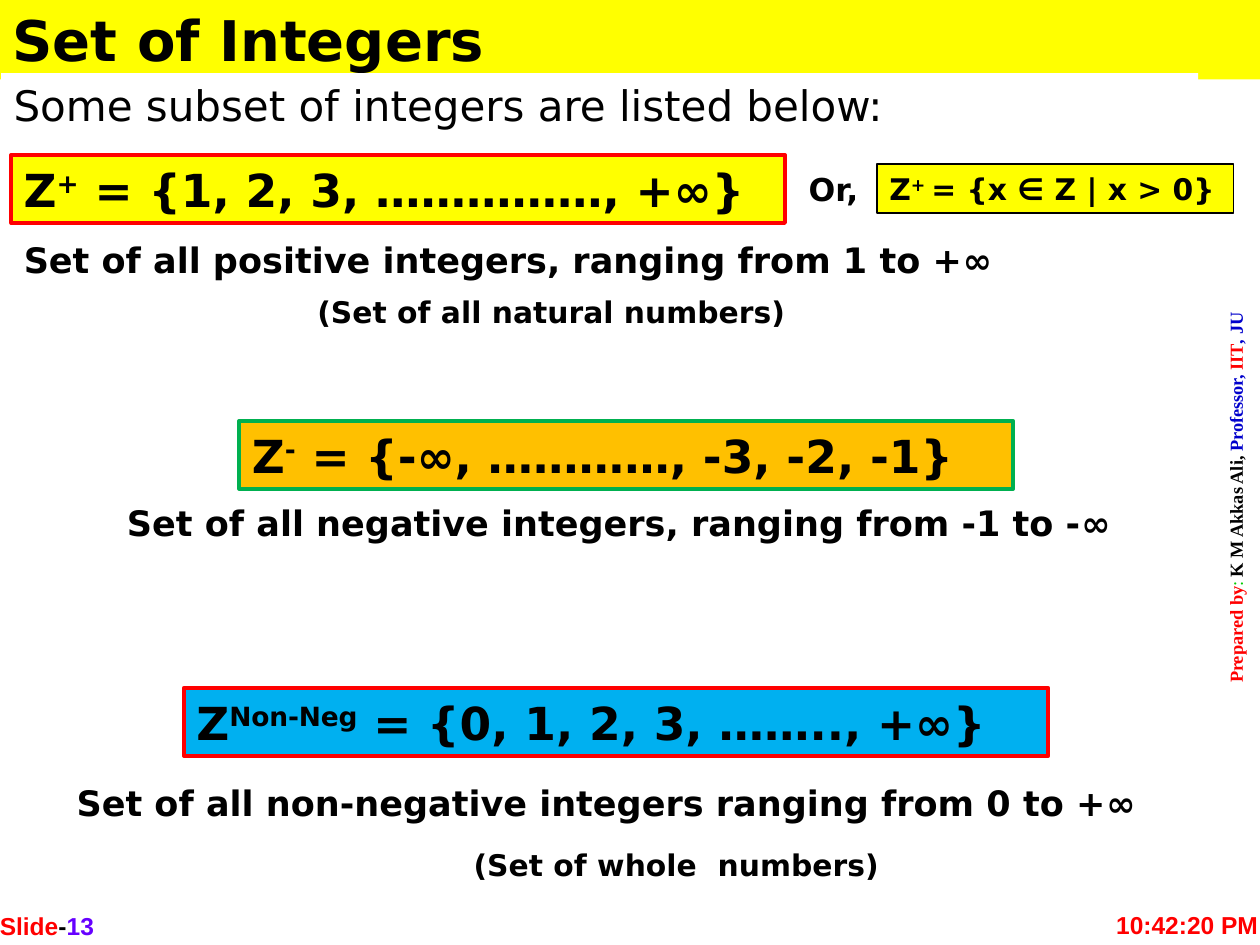
from collections import namedtuple
from dataclasses import dataclass

from pptx import Presentation
from pptx.dml.color import RGBColor
from pptx.enum import shapes, text
from pptx.util import Inches, Pt

Box = namedtuple("Box", "left top width height")
Part = namedtuple("Part", "words color bold italic raised", defaults=(None,) * 4)


@dataclass(frozen=True)
class Theme:
    """Colours, fonts and type sizes of the slide."""
    body: str = "DejaVu Sans"
    footer: str = "Arial"
    credit: str = "Times New Roman"
    black: str = "000000"
    white: str = "FFFFFF"
    yellow: str = "FFFF00"
    amber: str = "FFC000"
    sky: str = "00B0F0"
    red: str = "FF0000"
    green: str = "00B050"
    lime: str = "00CC00"
    blue: str = "0000CC"
    violet: str = "6600FF"
    title_size: float = 32
    formula_size: float = 26
    intro_size: float = 24
    caption_size: float = 20
    or_size: float = 18
    note_size: float = 17
    footer_size: float = 14
    credit_size: float = 10.5


THEME = Theme()


def rgb(color):
    """Turn a hex string into a colour."""
    return RGBColor.from_string(color)


def within(box, left, top, width, height):
    """Give a box placed relative to another one."""
    return Box(box.left + left, box.top + top, width, height)


def write(shape, parts, size, font=THEME.body, bold=True, color=THEME.black,
          align=text.PP_ALIGN.LEFT, anchor=text.MSO_ANCHOR.MIDDLE, wrap=True):
    """Fill a shape with one paragraph made of parts."""
    frame = shape.text_frame
    frame.word_wrap = wrap
    frame.auto_size = text.MSO_AUTO_SIZE.NONE
    frame.vertical_anchor = anchor
    paragraph = frame.paragraphs[0]
    paragraph.alignment = align
    paragraph.font.name = font
    paragraph.font.size = Pt(size)
    paragraph.font.bold = bold
    paragraph.font.color.rgb = rgb(color)
    for part in parts:
        run = paragraph.add_run()
        run.text = part.words
        if part.color:
            run.font.color.rgb = rgb(part.color)
        if part.bold is not None:
            run.font.bold = part.bold
        if part.italic:
            run.font.italic = True
        if part.raised:
            run._r.get_or_add_rPr().set("baseline", "30000")


def add_label(slide, box, parts, size, **style):
    """Add a plain text box."""
    label = slide.shapes.add_textbox(*map(Inches, box))
    write(label, parts, size, **style)
    return label


def add_panel(slide, box, parts, size, fill, line=None, weight=2.25, **style):
    """Add a filled rectangle with text and an optional border."""
    panel = slide.shapes.add_shape(shapes.MSO_SHAPE.RECTANGLE, *map(Inches, box))
    panel.shadow.inherit = False
    panel.fill.solid()
    panel.fill.fore_color.rgb = rgb(fill)
    if line:
        panel.line.color.rgb = rgb(line)
        panel.line.width = Pt(weight)
    else:
        panel.line.fill.background()
    write(panel, parts, size, **style)


def add_header(slide, box):
    """Place the title band and the introduction under it."""
    title = slide.shapes.title
    title.left, title.top, title.width, title.height = map(Inches, box)
    title.fill.solid()
    title.fill.fore_color.rgb = rgb(THEME.yellow)
    write(title, [Part("Set of Integers")], THEME.title_size)
    add_panel(slide, within(box, 0.01, 0.59, 9.5, 0.5),
              [Part("Some subset of integers are listed below:")],
              THEME.intro_size, THEME.white, bold=False)


def add_subset(slide, box, exponent, members, fill, line, caption, caption_box):
    """Place a set formula and its caption."""
    formula = [Part("Z"), Part(exponent, raised=True), Part(f" = {members}")]
    add_panel(slide, box, formula, THEME.formula_size, fill, line)
    add_label(slide, within(box, *caption_box),
              [Part(caption), Part("∞", italic=True)], THEME.caption_size)


def add_note(slide, box, words):
    """Place a bracketed remark under a caption."""
    add_label(slide, box, [Part(words)], THEME.note_size)


def add_alternative(slide, box):
    """Place the set-builder form of the positive integers."""
    add_label(slide, within(box, 0, 0, 0.72, 0.4), [Part("Or,")],
              THEME.or_size, wrap=False)
    builder = [Part("Z"), Part("+ ", raised=True), Part("= {x ∈ Z | x > 0}")]
    add_panel(slide, within(box, 0.64, 0, 2.83, 0.39), builder,
              THEME.note_size, THEME.yellow, THEME.black, 1, wrap=False)


def add_credit(slide, box):
    """Place the author line running up the right edge."""
    parts = [
        Part("Prepared by", THEME.red),
        Part(": ", THEME.lime, False),
        Part("K M Akkas Ali, "),
        Part("Professor, ", THEME.blue),
        Part("IIT", THEME.red),
        Part(", JU", THEME.blue),
    ]
    credit = add_label(slide, box, parts, THEME.credit_size, font=THEME.credit,
                       align=text.PP_ALIGN.CENTER, anchor=text.MSO_ANCHOR.TOP)
    credit.text_frame._txBody.bodyPr.set("vert", "vert270")


def add_footer(slide, box):
    """Place the slide number and the clock time."""
    style = dict(font=THEME.footer, anchor=text.MSO_ANCHOR.TOP)
    number = [Part("Slide", THEME.red), Part("-"), Part("13", THEME.violet)]
    add_label(slide, within(box, 0, 0.01, 2.33, box.height), number,
              THEME.footer_size, **style)
    add_label(slide, within(box, 8.86, 0, 1.49, box.height),
              [Part("10:42:20 PM")], THEME.footer_size, color=THEME.red, **style)


def main():
    """Build and save the slide."""
    deck = Presentation()
    deck.slide_width, deck.slide_height = Inches(10), Inches(7.5)
    slide = deck.slides.add_slide(deck.slide_layouts[5])
    add_header(slide, Box(0, -0.01, 10, 0.64))
    add_subset(slide, Box(0.09, 1.23, 6.14, 0.54), "+", "{1, 2, 3, ……………, +∞}",
               THEME.yellow, THEME.red,
               "Set of all positive integers, ranging from 1 to +",
               (0, 0.61, 7.95, 0.44))
    add_alternative(slide, Box(6.32, 1.3, 3.47, 0.4))
    add_note(slide, Box(2.42, 2.28, 4.13, 0.39), "(Set of all natural numbers)")
    add_subset(slide, Box(1.9, 3.34, 6.14, 0.54), "-", "{-∞, …………, -3, -2, -1}",
               THEME.amber, THEME.green,
               "Set of all negative integers, ranging from -1 to -",
               (-0.99, 0.59, 8.06, 0.44))
    add_subset(slide, Box(1.46, 5.46, 6.86, 0.54), "Non-Neg",
               "{0, 1, 2, 3, …….., +∞}", THEME.sky, THEME.red,
               "Set of all non-negative integers ranging from 0 to +",
               (-0.95, 0.69, 8.66, 0.44))
    add_note(slide, Box(3.66, 6.67, 3.81, 0.39), "(Set of whole  numbers)")
    add_credit(slide, Box(9.67, 0.49, 0.38, 6.92))
    add_footer(slide, Box(-0.1, 7.17, 10.35, 0.52))
    deck.save("out.pptx")


if __name__ == "__main__":
    main()
